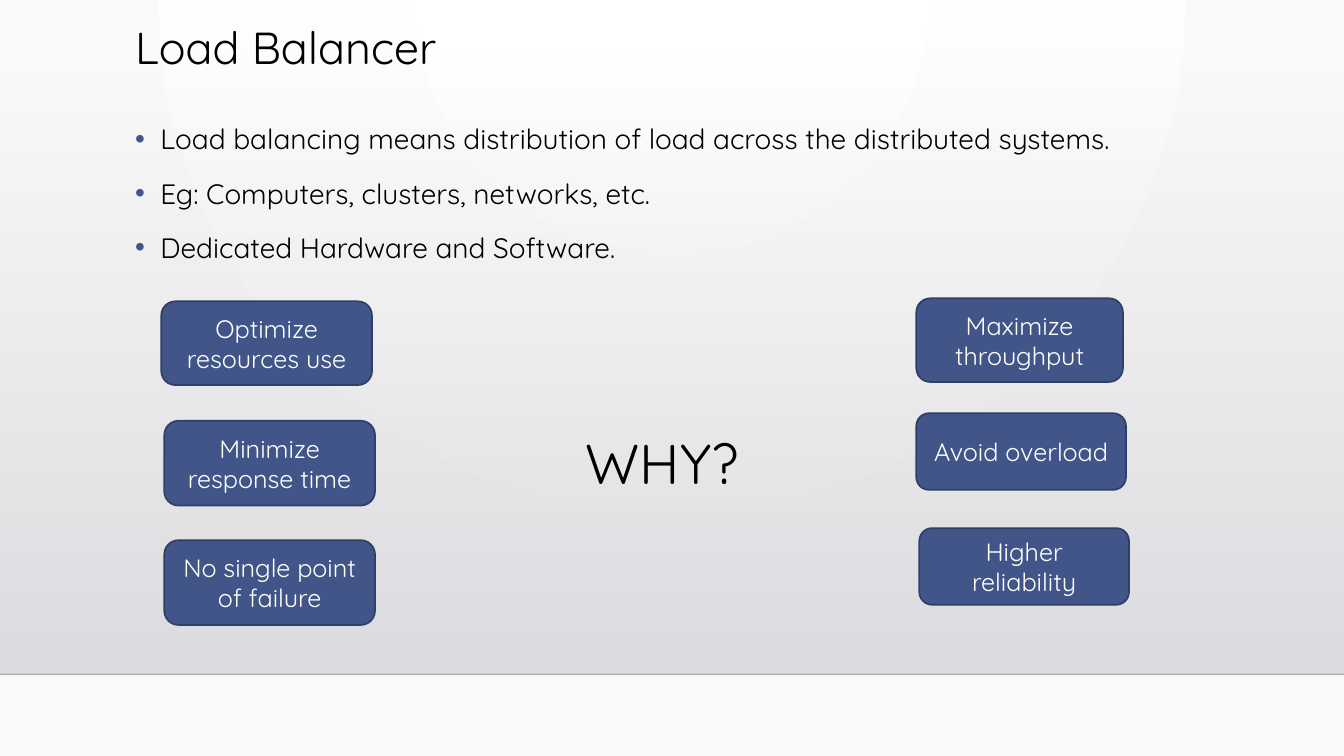
from dataclasses import dataclass

from lxml import etree
from pptx import Presentation
from pptx.dml.color import RGBColor
from pptx.enum.shapes import MSO_CONNECTOR, MSO_SHAPE
from pptx.enum.text import MSO_ANCHOR, MSO_AUTO_SIZE, PP_ALIGN
from pptx.oxml import parse_xml
from pptx.oxml.ns import nsdecls, qn
from pptx.util import Inches, Pt

LEFT, CENTER = PP_ALIGN.LEFT, PP_ALIGN.CENTER
TOP, MIDDLE = MSO_ANCHOR.TOP, MSO_ANCHOR.MIDDLE
SHRINK, NO_FIT = MSO_AUTO_SIZE.TEXT_TO_FIT_SHAPE, MSO_AUTO_SIZE.NONE
RECTANGLE, ROUNDED = MSO_SHAPE.RECTANGLE, MSO_SHAPE.ROUNDED_RECTANGLE
STRAIGHT = MSO_CONNECTOR.STRAIGHT


@dataclass(frozen=True)
class Theme:
    font: str = "Quicksand"
    ink: str = "000000"
    accent: str = "415588"
    outline: str = "303F65"
    light: str = "FFFFFF"
    paper: str = "FAFAFA"
    floor_top: str = "DCDCE0"
    floor_bottom: str = "DEDEE2"
    rule: str = "000001"
    title_size: int = 32
    body_size: int = 20
    question_size: int = 40
    reason_size: int = 18


THEME = Theme()
CELL = 0.1  # inches per grid column and row
COLUMNS, ROWS = 133.33, 75

POINTS = [
    "Load balancing means distribution of load across the distributed systems.",
    "Eg: Computers, clusters, networks, etc.",
    "Dedicated Hardware and Software.",
]
# Each reason: text, shift from the column's left edge, width, height
LEFT_REASONS = [
    ("Optimize resources use", 0, 20.9, 8.3),
    ("Minimize response time", 0.3, 20.9, 8.4),
    ("No single point of failure", 0.3, 20.9, 8.4),
]
RIGHT_REASONS = [
    ("Maximize throughput", 0, 20.5, 8.3),
    ("Avoid overload", 0, 20.8, 7.6),
    ("Higher reliability", 0.3, 20.8, 7.6),
]


def grid(*cells):
    return [Inches(cell * CELL) for cell in cells]


def apply_format(target, values):
    for name, value in values.items():
        setattr(target, name, value)


def write(frame, paragraphs, size, color, frame_format, paragraph_format):
    apply_format(frame, {"word_wrap": True, **frame_format})
    for index, text in enumerate(paragraphs):
        paragraph = frame.paragraphs[0] if index == 0 else frame.add_paragraph()
        apply_format(paragraph, paragraph_format)
        run = paragraph.add_run()
        run.text = text
        apply_format(run.font, {"name": THEME.font, "size": Pt(size)})
        run.font.color.rgb = RGBColor.from_string(color)


def move(placeholder, box):
    apply_format(placeholder, dict(zip(("left", "top", "width", "height"), grid(*box))))


def add_bullet(paragraph):
    properties = paragraph._p.get_or_add_pPr()
    properties.set("marL", str(Inches(0.25)))
    properties.set("indent", str(-Inches(0.25)))
    for markup in (
        f'<a:buClr {nsdecls("a")}><a:srgbClr val="{THEME.accent}"/></a:buClr>',
        f'<a:buFont {nsdecls("a")} typeface="Arial"/>',
        f'<a:buChar {nsdecls("a")} char="•"/>',
    ):
        properties.append(parse_xml(markup))


def set_alpha(color, percent):
    etree.SubElement(color, qn("a:alpha")).set("val", str(percent * 1000))


def paint_background(slide):
    """Radial glow centred on the top edge."""
    slide.background.fill.solid()
    properties = slide.background._cSld.bg.bgPr
    properties.replace(properties[0], parse_xml(
        f'<a:gradFill {nsdecls("a")} rotWithShape="1"><a:gsLst>'
        f'<a:gs pos="0"><a:srgbClr val="{THEME.light}"/></a:gs>'
        f'<a:gs pos="100000"><a:srgbClr val="{THEME.paper}"/></a:gs></a:gsLst>'
        '<a:path path="circle"><a:fillToRect l="43000" r="43000" b="100000"/></a:path>'
        '</a:gradFill>'))


def add_floor(slide, box):
    """Shade that fades in downwards and ends in a thin rule, behind the text."""
    left, top, width, height = grid(*box)
    shade = slide.shapes.add_shape(RECTANGLE, left, top, width, height)
    shade.shadow.inherit = False
    shade.line.fill.background()
    shade.fill.gradient()
    shade.fill.gradient_angle = 270
    stops = zip(shade.fill.gradient_stops, (THEME.floor_top, THEME.floor_bottom), (0, 100))
    for stop, color, position in stops:
        stop.color.rgb = RGBColor.from_string(color)
        stop.position = position / 100
    first_stop = shade.fill._fill._gradFill.find(".//" + qn("a:srgbClr"))
    set_alpha(first_stop, 0)

    rule = slide.shapes.add_connector(STRAIGHT, left, top + height, left + width, top + height)
    rule.line.width = Pt(1)
    rule.line.color.rgb = RGBColor.from_string(THEME.rule)
    properties = rule._element.spPr
    set_alpha(properties.find(".//" + qn("a:srgbClr")), 20)
    etree.SubElement(properties, qn("a:effectLst"))

    for depth, backdrop in enumerate((shade, rule), start=2):
        slide.shapes._spTree.insert(depth, backdrop._element)


def fill_title(slide, box):
    title = slide.shapes.title
    move(title, box)
    write(title.text_frame, ["Load Balancer"], THEME.title_size, THEME.ink,
          {"vertical_anchor": TOP, "auto_size": NO_FIT},
          {"alignment": LEFT, "line_spacing": 0.9})


def fill_points(slide, box):
    body = slide.placeholders[1]
    move(body, box)
    write(body.text_frame, POINTS, THEME.body_size, THEME.ink,
          {"vertical_anchor": TOP, "auto_size": SHRINK},
          {"alignment": LEFT, "line_spacing": 1.2, "space_before": Pt(10)})
    for paragraph in body.text_frame.paragraphs:
        add_bullet(paragraph)


def add_question(slide, box):
    question = slide.shapes.add_textbox(*grid(*box))
    write(question.text_frame, ["WHY?"], THEME.question_size, THEME.ink,
          {"vertical_anchor": TOP}, {"alignment": CENTER, "line_spacing": 0.9})


def add_reasons(slide, left, top, pitch, reasons):
    for row, (text, shift, width, height) in enumerate(reasons):
        box = grid(left + shift, top + row * pitch, width, height)
        reason = slide.shapes.add_shape(ROUNDED, *box)
        reason.shadow.inherit = False
        reason.fill.solid()
        reason.fill.fore_color.rgb = RGBColor.from_string(THEME.accent)
        reason.line.color.rgb = RGBColor.from_string(THEME.outline)
        reason.line.width = Pt(1.25)
        write(reason.text_frame, [text], THEME.reason_size, THEME.light,
              {"vertical_anchor": MIDDLE}, {"alignment": CENTER})


def build_load_balancer(slide):
    paint_background(slide)
    add_floor(slide, (0, 5.1, COLUMNS, 61.8))
    fill_title(slide, (12.4, 2.1, 105, 11.5))
    fill_points(slide, (12.4, 10.9, 105, 17.3))
    add_question(slide, (47.2, 42.8, 37, 10.7))
    add_reasons(slide, 16, 29.9, 11.85, LEFT_REASONS)
    add_reasons(slide, 90.9, 29.6, 11.4, RIGHT_REASONS)


def main():
    presentation = Presentation()
    presentation.slide_width, presentation.slide_height = grid(COLUMNS, ROWS)
    build_load_balancer(presentation.slides.add_slide(presentation.slide_layouts[1]))
    presentation.save("out.pptx")


if __name__ == "__main__":
    main()
